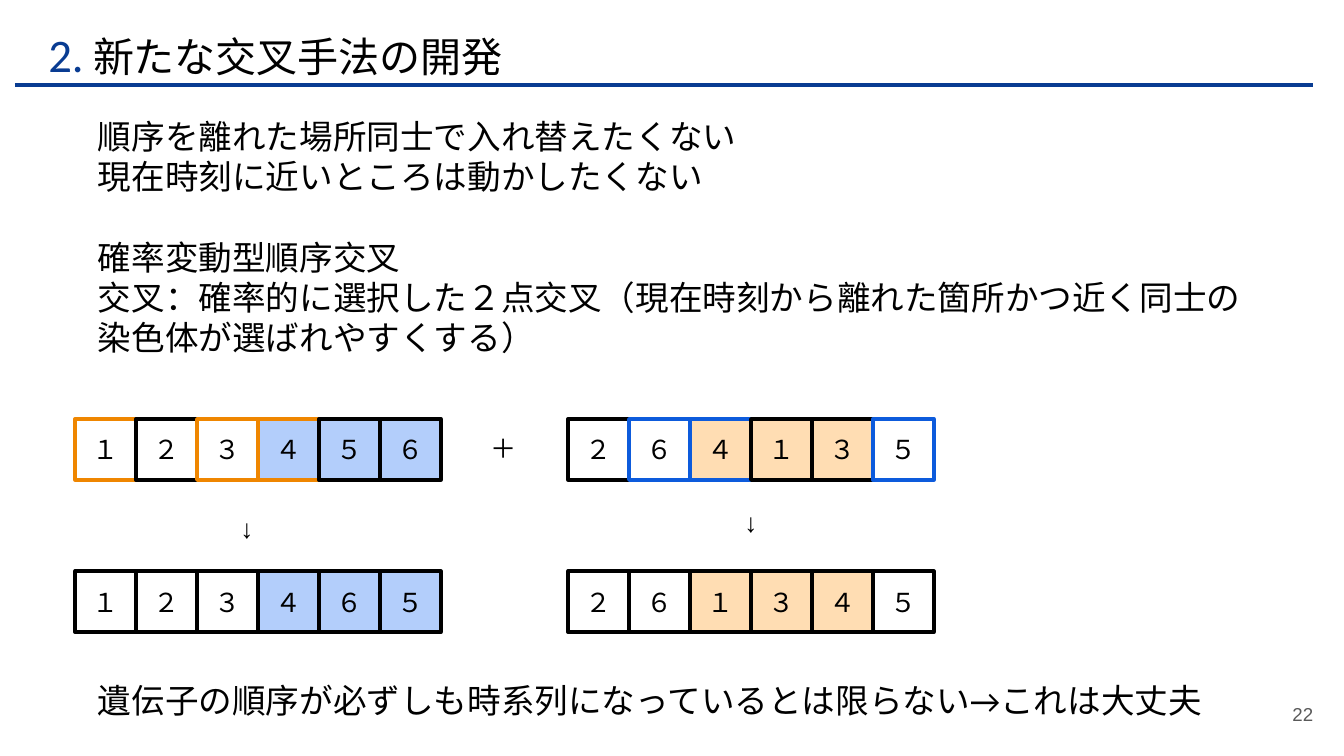
from dataclasses import dataclass

from pptx import Presentation
from pptx.dml.color import RGBColor
from pptx.enum.shapes import MSO_CONNECTOR, MSO_SHAPE
from pptx.enum.text import MSO_ANCHOR, MSO_AUTO_SIZE, PP_ALIGN
from pptx.oxml.ns import qn
from pptx.util import Pt
from lxml import etree

RECTANGLE = MSO_SHAPE.RECTANGLE
STRAIGHT = MSO_CONNECTOR.STRAIGHT
TOP, MIDDLE = MSO_ANCHOR.TOP, MSO_ANCHOR.MIDDLE
LEFT, CENTER, RIGHT = PP_ALIGN.LEFT, PP_ALIGN.CENTER, PP_ALIGN.RIGHT


@dataclass(frozen=True)
class Theme:
    heading_font: str = "Calibri"
    label_font: str = "Arial"
    black: str = "000000"
    white: str = "FFFFFF"
    navy: str = "093C92"
    teal: str = "0097A7"
    gray: str = "595959"
    orange: str = "EF8600"
    blue: str = "0D5BDC"
    pale_blue: str = "B3CEFB"
    pale_orange: str = "FFDDB3"
    number_size: float = 25
    title_size: float = 22
    body_size: float = 18
    gene_size: float = 14
    page_size: float = 10


THEME = Theme()


def add_span(para, text, *, font=THEME.label_font, size=THEME.gene_size, color=THEME.black):
    """Append formatted text, with the same font for East Asian letters."""
    span = para.add_run()
    span.text = text
    span.font.name = font
    span.font.size = Pt(size)
    span.font.color.rgb = RGBColor.from_string(color)
    east_asian = etree.SubElement(span.font._element, qn("a:ea"))
    east_asian.set("typeface", font)


class SlideBuilder:
    def __init__(self, deck, theme):
        self.theme = theme
        self.page = deck.slides.add_slide(deck.slide_layouts[5])

    def format_frame(self, box, anchor=TOP, inset=7.2, wrap=True):
        frame = box.text_frame
        frame.auto_size = MSO_AUTO_SIZE.NONE
        frame.word_wrap = wrap
        frame.vertical_anchor = anchor
        frame.margin_left = frame.margin_right = Pt(7.2)
        frame.margin_top = frame.margin_bottom = Pt(inset)
        return frame

    def title(self, number, text, left, top, width, height):
        box = self.page.shapes.title
        box.left, box.top, box.width, box.height = map(Pt, (left, top, width, height))
        para = self.format_frame(box).paragraphs[0]
        para.alignment = LEFT
        font = self.theme.heading_font
        add_span(para, number, font=font, size=self.theme.number_size, color=self.theme.navy)
        add_span(para, " ", font=font, size=self.theme.title_size, color=self.theme.teal)
        add_span(para, text, font=font, size=self.theme.title_size)

    def text(self, lines, left, top, width, height, *, anchor=TOP, inset=3.6,
             wrap=True, align=LEFT, **style):
        """Write (text, space before) pairs as paragraphs of one box."""
        box = self.page.shapes.add_textbox(*map(Pt, (left, top, width, height)))
        frame = self.format_frame(box, anchor, inset, wrap)
        for index, (text, gap) in enumerate(lines):
            para = frame.add_paragraph() if index else frame.paragraphs[0]
            para.alignment = align
            if gap:
                para.space_before = Pt(gap)
            add_span(para, text, **style)

    def gene(self, text, left, top, side, fill, border):
        box = self.page.shapes.add_shape(RECTANGLE, *map(Pt, (left, top, side, side)))
        box.shadow.inherit = False
        box.fill.solid()
        box.fill.fore_color.rgb = RGBColor.from_string(fill)
        box.line.color.rgb = RGBColor.from_string(border)
        box.line.width = Pt(2)
        para = self.format_frame(box, MIDDLE, 3.6).paragraphs[0]
        para.alignment = CENTER
        add_span(para, text)

    def chromosome(self, genes, left, top, *, shaded, fill, marked="", accent=THEME.black):
        """Draw a row of genes; shaded genes get the fill, marked ones the accent."""
        side = 32.65
        for index, name in enumerate(genes):
            self.gene(name, left + index * side, top, side,
                      fill if name in shaded else self.theme.white,
                      accent if name in marked else self.theme.black)

    def rule(self, left, right, y):
        line = self.page.shapes.add_connector(STRAIGHT, Pt(left), Pt(y), Pt(right), Pt(y))
        line.line.color.rgb = RGBColor.from_string(self.theme.navy)
        line.line.width = Pt(2.25)
        etree.SubElement(line._element.spPr, qn("a:effectLst"))


def main():
    deck = Presentation()
    deck.slide_width, deck.slide_height = Pt(720), Pt(405)
    slide = SlideBuilder(deck, THEME)

    # Heading
    slide.title("2.", "新たな交叉手法の開発", 18.7, 6.5, 656, 44.6)
    slide.rule(8, 703.5, 45.4)

    # Explanation, with room for the diagram before the last line
    line_height = 21.6
    slide.text([
        ("順序を離れた場所同士で入れ替えたくない", 0),
        ("現在時刻に近いところは動かしたくない", 0),
        ("確率変動型順序交叉", line_height),
        ("交叉：確率的に選択した２点交叉（現在時刻から離れた箇所かつ近く同士の"
         "染色体が選ばれやすくする）", 0),
        ("遺伝子の順序が必ずしも時系列になっているとは限らない→これは大丈夫", 8 * line_height),
    ], 45.4, 54.7, 629.3, 342, inset=7.2, font=THEME.heading_font, size=THEME.body_size)

    # Parents above, children below
    first, second = 40.3, 304.4
    parents, children = 224.5, 306
    slide.chromosome("１２３４５６", first, parents, shaded="４５６", fill=THEME.pale_blue,
                     marked="１３４", accent=THEME.orange)
    slide.chromosome("２６４１３５", second, parents, shaded="４１３", fill=THEME.pale_orange,
                     marked="６４５", accent=THEME.blue)
    slide.chromosome("１２３４６５", first, children, shaded="４６５", fill=THEME.pale_blue)
    slide.chromosome("２６１３４５", second, children, shaded="１３４", fill=THEME.pale_orange)

    # Signs between the rows
    slide.text([("＋", 0)], 255.6, 228.2, 28.8, 24.5, wrap=False)
    slide.text([("↓", 0)], 121.7, 270.7, 21.6, 24.5, wrap=False)
    slide.text([("↓", 0)], 391.7, 267.8, 21.6, 24.5)

    # Page number
    slide.text([("22", 0)], 667.4, 367.2, 43.2, 31, anchor=MIDDLE, inset=7.2, align=RIGHT,
               size=THEME.page_size, color=THEME.gray)

    deck.save("out.pptx")


if __name__ == "__main__":
    main()
